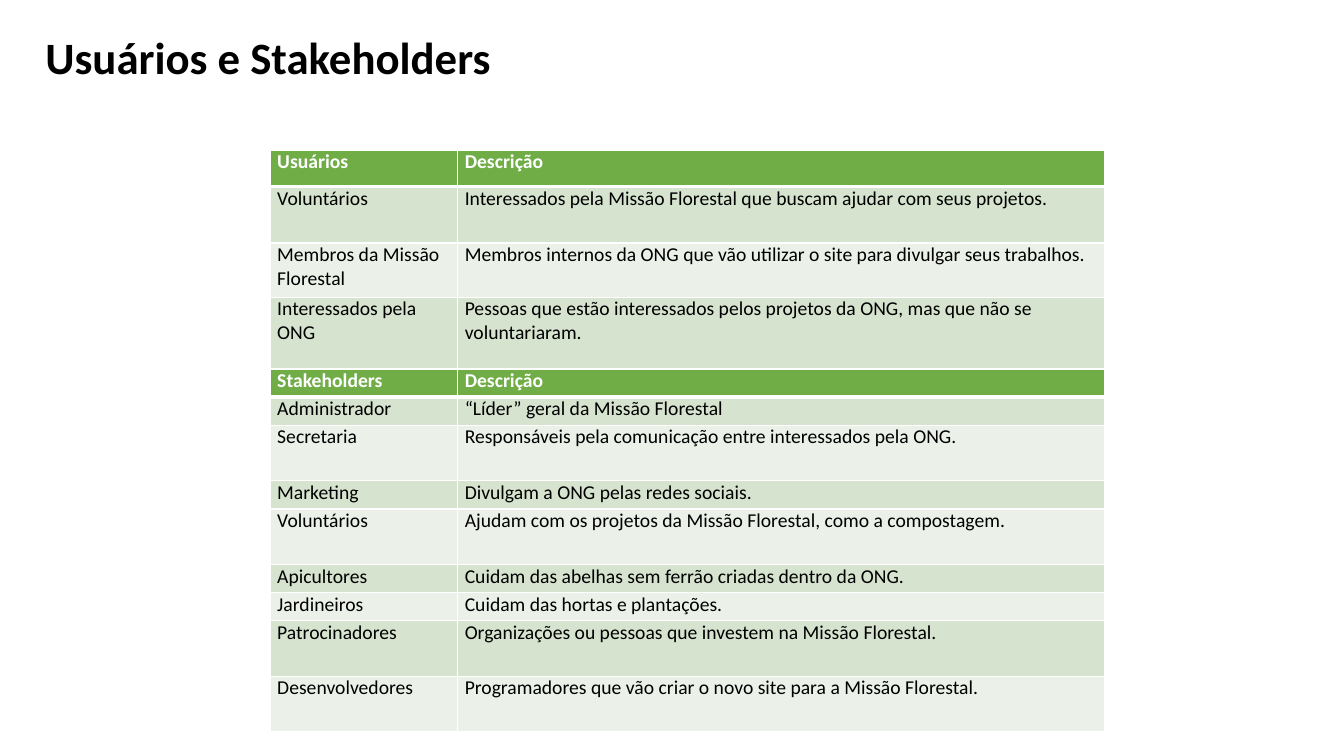
from lxml import etree
from pptx import Presentation
from pptx.dml.color import RGBColor
from pptx.enum.text import MSO_ANCHOR as Anchor, MSO_AUTO_SIZE as AutoSize, PP_ALIGN as Align
from pptx.oxml.ns import qn
from pptx.util import Inches, Pt

GREEN, PALE, PALER = "70AD47", "D5E3CF", "EBF1E9"
BLACK, WHITE = "000000", "FFFFFF"

USERS = [
    ("Usuários", "Descrição"),
    ("Voluntários", "Interessados pela Missão Florestal que buscam ajudar com seus projetos."),
    ("Membros da Missão Florestal",
     "Membros internos da ONG que vão utilizar o site para divulgar seus trabalhos."),
    ("Interessados pela ONG",
     "Pessoas que estão interessados pelos projetos da ONG, mas que não se voluntariaram."),
]
STAKEHOLDERS = [
    ("Stakeholders", "Descrição"),
    ("Administrador", "“Líder” geral da Missão Florestal"),
    ("Secretaria", "Responsáveis pela comunicação entre interessados pela ONG."),
    ("Marketing", "Divulgam a ONG pelas redes sociais."),
    ("Voluntários", "Ajudam com os projetos da Missão Florestal, como a compostagem."),
    ("Apicultores", "Cuidam das abelhas sem ferrão criadas dentro da ONG."),
    ("Jardineiros", "Cuidam das hortas e plantações."),
    ("Patrocinadores", "Organizações ou pessoas que investem na Missão Florestal."),
    ("Desenvolvedores", "Programadores que vão criar o novo site para a Missão Florestal."),
]


def color(hex_code):
    return RGBColor.from_string(hex_code)


def write(frame, text, size=14, ink=BLACK, bold=False, align=Align.LEFT, font="Calibri"):
    paragraph = frame.paragraphs[0]
    paragraph.alignment = align
    paragraph.line_spacing = 1.0
    run = paragraph.add_run()
    run.text = text
    run.font.name, run.font.size, run.font.bold = font, Pt(size), bold
    run.font.color.rgb = color(ink)


def add_borders(cell, top=1, bottom=1):
    """Outline a cell in white; the lines must precede its fill."""
    properties = cell._tc.get_or_add_tcPr()
    sides = [("a:lnL", 1), ("a:lnR", 1), ("a:lnT", top), ("a:lnB", bottom)]
    for position, (tag, width) in enumerate(sides):
        line = etree.Element(qn(tag), w=str(Pt(width)))
        fill = etree.SubElement(line, qn("a:solidFill"))
        etree.SubElement(fill, qn("a:srgbClr"), val=WHITE)
        properties.insert(position, line)


class RoleSlide:
    LEFT = 2.68
    COLUMNS = (1.86, 6.42)

    def __init__(self, deck):
        self.slide = deck.slides.add_slide(deck.slide_layouts[5])

    def title(self, text):
        heading = self.slide.shapes.title
        heading.left, heading.top = Inches(0.35), Inches(0.24)
        heading.width, heading.height = Inches(4.66), Inches(0.64)
        frame = heading.text_frame
        frame.word_wrap = False
        frame.auto_size = AutoSize.SHAPE_TO_FIT_TEXT
        frame.vertical_anchor = Anchor.TOP
        write(frame, text, size=32, bold=True)

    def table(self, roles, top, heights):
        table = self.slide.shapes.add_table(
            len(roles), len(self.COLUMNS), Inches(self.LEFT), Inches(top),
            Inches(sum(self.COLUMNS)), Inches(sum(heights))).table
        table.horz_banding = False
        for column, width in zip(table.columns, self.COLUMNS):
            column.width = Inches(width)
        for index, (role, height) in enumerate(zip(roles, heights)):
            table.rows[index].height = Inches(height)
            for cell, text in zip(table.rows[index].cells, role):
                self.fill_cell(cell, text, index)

    def fill_cell(self, cell, text, index):
        header = index == 0
        cell.margin_left = cell.margin_right = Inches(0.07)
        cell.margin_top = cell.margin_bottom = 0
        cell.fill.solid()
        cell.fill.fore_color.rgb = color(GREEN if header else PALE if index % 2 else PALER)
        add_borders(cell, top=3 if index == 1 else 1, bottom=3 if header else 1)
        write(cell.text_frame, text, ink=WHITE if header else BLACK, bold=header,
              align=Align.JUSTIFY if header else Align.LEFT)


def main():
    deck = Presentation()
    deck.slide_width, deck.slide_height = Inches(13.33), Inches(7.5)
    page = RoleSlide(deck)

    # Heading
    page.title("Usuários e Stakeholders")

    # Users, with the stakeholders directly below
    page.table(USERS, 1.49, [0.36, 0.56, 0.54, 0.71])
    short, tall = 0.28, 0.55
    page.table(STAKEHOLDERS, 3.66,
               [short, short, tall, short, tall, short, short, tall, tall])

    deck.save("out.pptx")


if __name__ == "__main__":
    main()
